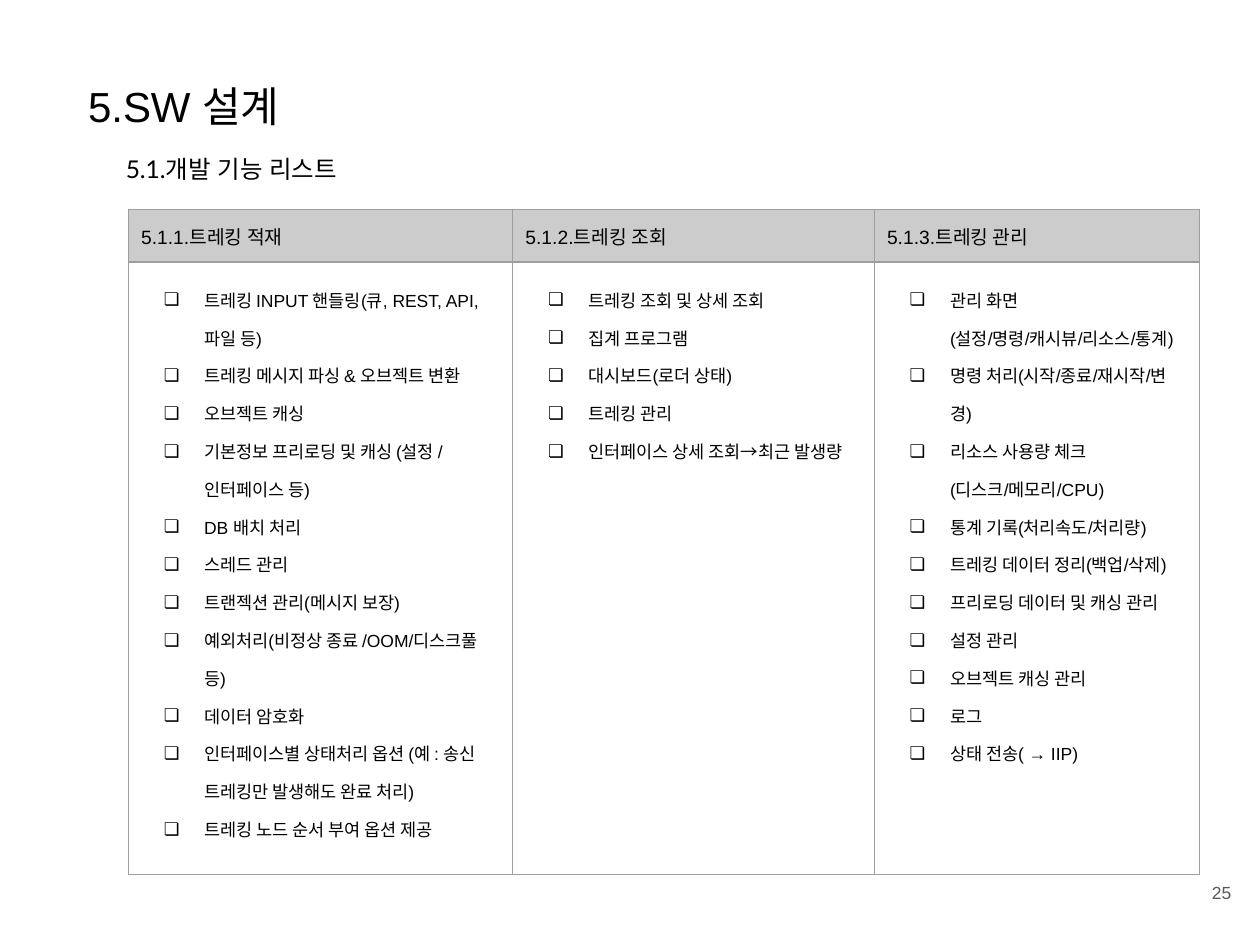
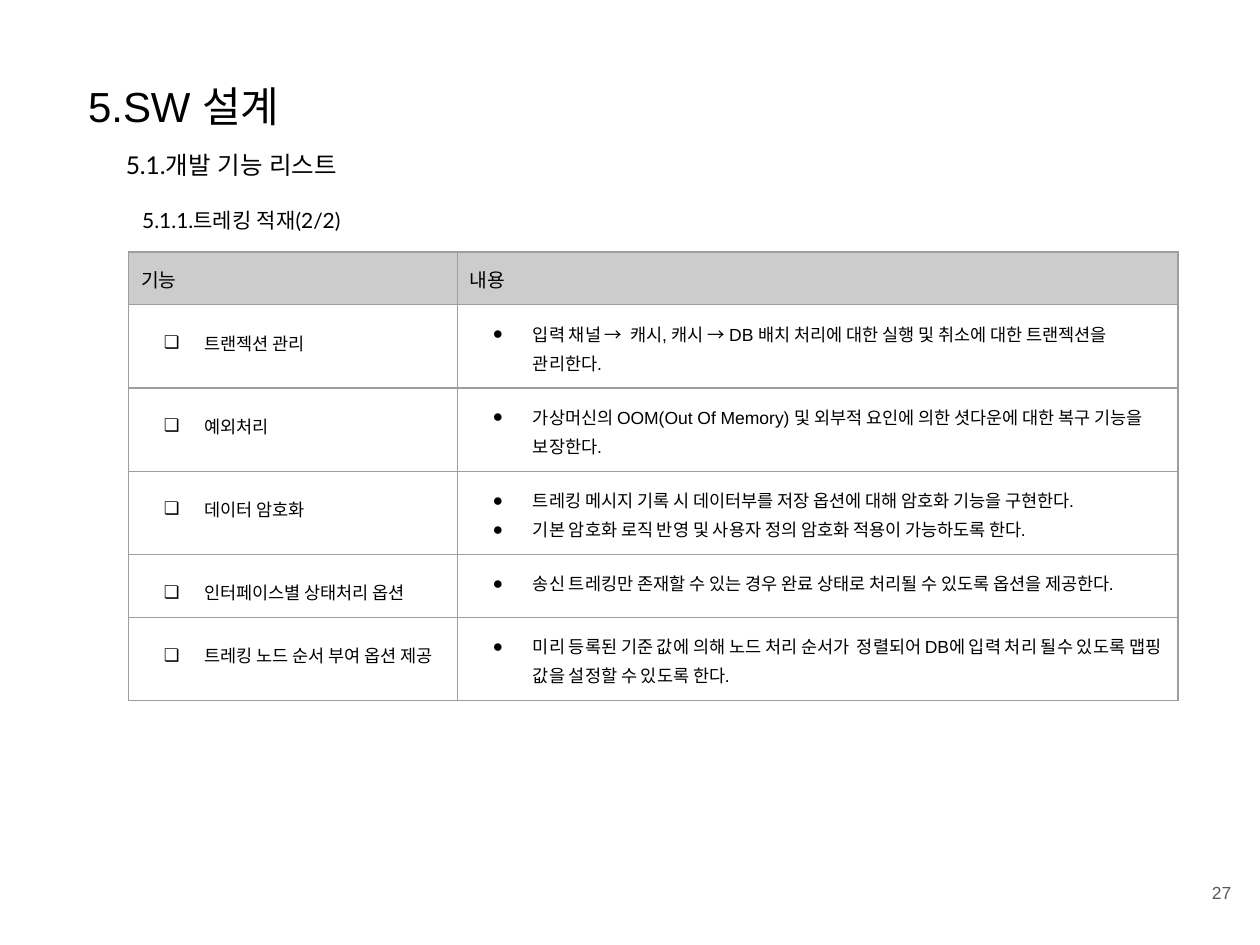
from dataclasses import dataclass

from lxml import etree
from pptx import Presentation
from pptx import util as u
from pptx.dml.color import RGBColor
from pptx.enum import text as t
from pptx.oxml.ns import qn

PX = 9144  # EMU per px, 100 px to the inch
INSET = 10
BLACK, GREY, HEADER, BORDER = "000000", "595959", "CCCCCC", "9E9E9E"
HEAD_HEIGHT = 42
BOX, DOT = "❏", "●"


@dataclass
class Box:
    left: int
    top: int
    width: int
    height: int


@dataclass
class Bullets:
    items: list[str]
    mark: str = BOX
    spacing: float = 1.5


@dataclass
class Grid:
    top: int
    widths: list[int]
    heights: list[int]
    headers: list[str]
    rows: list[list[Bullets]]


TITLE = Box(60, 54, 852, 54)
PAGE = Box(927, 680, 60, 57)
TABLE_LEFT = 102

FEATURES = Grid(
    166, [305, 287, 258], [486],
    ["5.1.1.트레킹 적재", "5.1.2.트레킹 조회", "5.1.3.트레킹 관리"],
    [[
        Bullets([
            "트레킹 INPUT 핸들링(큐, REST, API,파일 등)",
            "트레킹 메시지 파싱 & 오브젝트 변환",
            "오브젝트 캐싱",
            "기본정보 프리로딩 및 캐싱 (설정 / 인터페이스 등)",
            "DB 배치 처리",
            "스레드 관리",
            "트랜젝션 관리(메시지 보장)",
            "예외처리(비정상 종료 /OOM/디스크풀 등)",
            "데이터 암호화",
            "인터페이스별 상태처리 옵션 (예 : 송신 트레킹만 발생해도 완료 처리)",
            "트레킹 노드 순서 부여 옵션 제공",
        ]),
        Bullets([
            "트레킹 조회 및 상세 조회",
            "집계 프로그램",
            "대시보드(로더 상태)",
            "트레킹 관리",
            "인터페이스 상세 조회→최근 발생량",
        ]),
        Bullets([
            "관리 화면\n(설정/명령/캐시뷰/리소스/통계)",
            "명령 처리(시작/종료/재시작/변경)",
            "리소스 사용량 체크  (디스크/메모리/CPU)",
            "통계 기록(처리속도/처리량)",
            "트레킹 데이터 정리(백업/삭제)",
            "프리로딩 데이터 및 캐싱 관리",
            "설정 관리",
            "오브젝트 캐싱 관리",
            "로그",
            "상태 전송( → IIP)",
        ]),
    ]],
)

LOADING = [
    ("트랜젝션 관리",
     ["입력 채널 →  캐시, 캐시 → DB 배치 처리에 대한 실행 및 취소에 대한 트랜젝션을 관리한다."]),
    ("예외처리",
     ["가상머신의 OOM(Out Of Memory) 및 외부적 요인에 의한 셧다운에 대한 복구 기능을 보장한다."]),
    ("데이터 암호화",
     ["트레킹 메시지 기록 시 데이터부를 저장 옵션에 대해 암호화 기능을 구현한다.",
      "기본 암호화 로직 반영 및 사용자 정의 암호화 적용이 가능하도록 한다."]),
    ("인터페이스별 상태처리 옵션",
     ["송신 트레킹만 존재할 수 있는 경우 완료 상태로 처리될 수 있도록 옵션을 제공한다."]),
    ("트레킹 노드 순서 부여 옵션 제공",
     ["미리 등록된 기준 값에 의해 노드 처리 순서가  정렬되어 DB에 입력 처리 될수 있도록 "
      "맵핑 값을 설정할 수 있도록 한다."]),
]
DETAILS = Grid(
    200, [261, 572], [66, 66, 66, 50, 66], ["기능", "내용"],
    [[Bullets([name]), Bullets(notes, DOT, 1.15)] for name, notes in LOADING],
)


def px(n: int) -> u.Emu:
    return u.Emu(n * PX)


def rgb(value: str) -> RGBColor:
    return RGBColor.from_string(value)


def set_indent(p, left: int, hanging: int = 0) -> None:
    pPr = p._p.get_or_add_pPr()
    pPr.set("marL", str(px(left)))
    pPr.set("indent", str(-px(hanging)))


def set_bullet(p, mark: str) -> None:
    set_indent(p, 50, 32)
    pPr = p._p.get_or_add_pPr()
    color = etree.SubElement(pPr, qn("a:buClr"))
    etree.SubElement(color, qn("a:srgbClr"), val=BLACK)
    etree.SubElement(pPr, qn("a:buFont"), typeface="Arial")
    etree.SubElement(pPr, qn("a:buChar"), char=mark)


def write(tf, content: str, *, size: int = 10, font: str = "Arial", color: str = BLACK,
          align=t.PP_ALIGN.LEFT, spacing: float = 1.0, before: int = 0,
          indent: int = 0, mark: str = "", east_asian: str = "") -> None:
    """Fill the empty first paragraph of the frame, or add another one."""
    p = tf.paragraphs[0] if not tf.text else tf.add_paragraph()
    if mark:
        set_bullet(p, mark)
    else:
        set_indent(p, indent)
    p.alignment, p.line_spacing, p.space_before = align, spacing, u.Pt(before)
    for i, line in enumerate(content.split("\n")):
        if i:
            p.add_line_break()
        r = p.add_run()
        r.text = line
        r.font.size, r.font.name = u.Pt(size), font
        r.font.color.rgb = rgb(color)
        if east_asian:
            etree.SubElement(r._r.get_or_add_rPr(), qn("a:ea"), typeface=east_asian)


def add_box(s, box: Box, anchor=t.MSO_ANCHOR.TOP):
    sp = s.shapes.add_textbox(px(box.left), px(box.top), px(box.width), px(box.height))
    tf = sp.text_frame
    tf.word_wrap, tf.vertical_anchor = True, anchor
    tf.margin_left = tf.margin_right = tf.margin_top = tf.margin_bottom = px(INSET)
    return tf


def style_cell(cell, fill: str = "") -> None:
    tcPr = cell._tc.get_or_add_tcPr()
    for side in "LRTB":
        ln = etree.SubElement(tcPr, qn(f"a:ln{side}"), w=str(u.Pt(0.75)))
        solid = etree.SubElement(ln, qn("a:solidFill"))
        etree.SubElement(solid, qn("a:srgbClr"), val=BORDER)
    if fill:
        cell.fill.solid()
        cell.fill.fore_color.rgb = rgb(fill)
    else:
        cell.fill.background()
    cell.margin_left = cell.margin_right = cell.margin_top = cell.margin_bottom = px(INSET)


def add_grid(s, grid: Grid) -> None:
    heights = [HEAD_HEIGHT, *grid.heights]
    table = s.shapes.add_table(len(heights), len(grid.widths), px(TABLE_LEFT), px(grid.top),
                               px(sum(grid.widths)), px(sum(heights))).table
    table.first_row = table.horz_banding = False
    for column, width in zip(table.columns, grid.widths):
        column.width = px(width)
    for row, height in zip(table.rows, heights):
        row.height = px(height)
    for c, header in enumerate(grid.headers):
        cell = table.cell(0, c)
        style_cell(cell, HEADER)
        write(cell.text_frame, header, size=11)
    for r, row in enumerate(grid.rows, 1):
        for c, bullets in enumerate(row):
            cell = table.cell(r, c)
            style_cell(cell)
            for item in bullets.items:
                write(cell.text_frame, item, spacing=bullets.spacing, mark=bullets.mark)


def add_design_slide(prs, page: int, grid: Grid, spacing: float, topic: str = "") -> None:
    """Add a slide with title, section heading, optional topic, table and page number."""
    s = prs.slides.add_slide(prs.slide_layouts[6])
    write(add_box(s, TITLE), "5.SW 설계", size=24, east_asian="Arial")
    tf = add_box(s, Box(90, 109, 560, 90 if topic else 35))
    lato = {"font": "Lato", "east_asian": "Lato"}
    write(tf, "5.1.개발 기능 리스트", size=14, spacing=spacing, **lato)
    if topic:
        write(tf, topic, size=12, before=16, indent=13, **lato)
    add_grid(s, grid)
    write(add_box(s, PAGE, t.MSO_ANCHOR.MIDDLE), str(page), color=GREY,
          align=t.PP_ALIGN.RIGHT)


def main() -> None:
    prs = Presentation()
    prs.slide_width, prs.slide_height = px(1000), px(750)
    add_design_slide(prs, 25, FEATURES, 1.15)
    add_design_slide(prs, 27, DETAILS, 1.0, "5.1.1.트레킹 적재(2/2)")
    prs.save("out.pptx")


if __name__ == "__main__":
    main()
